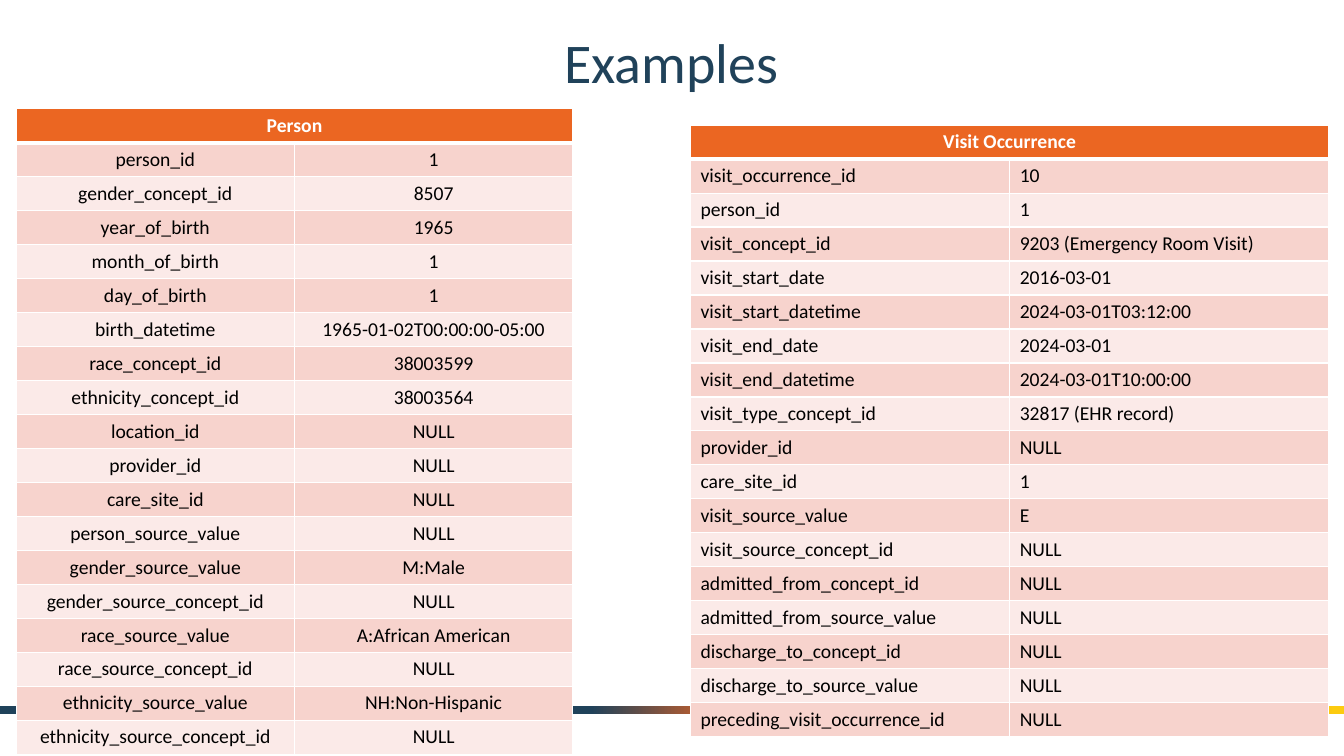
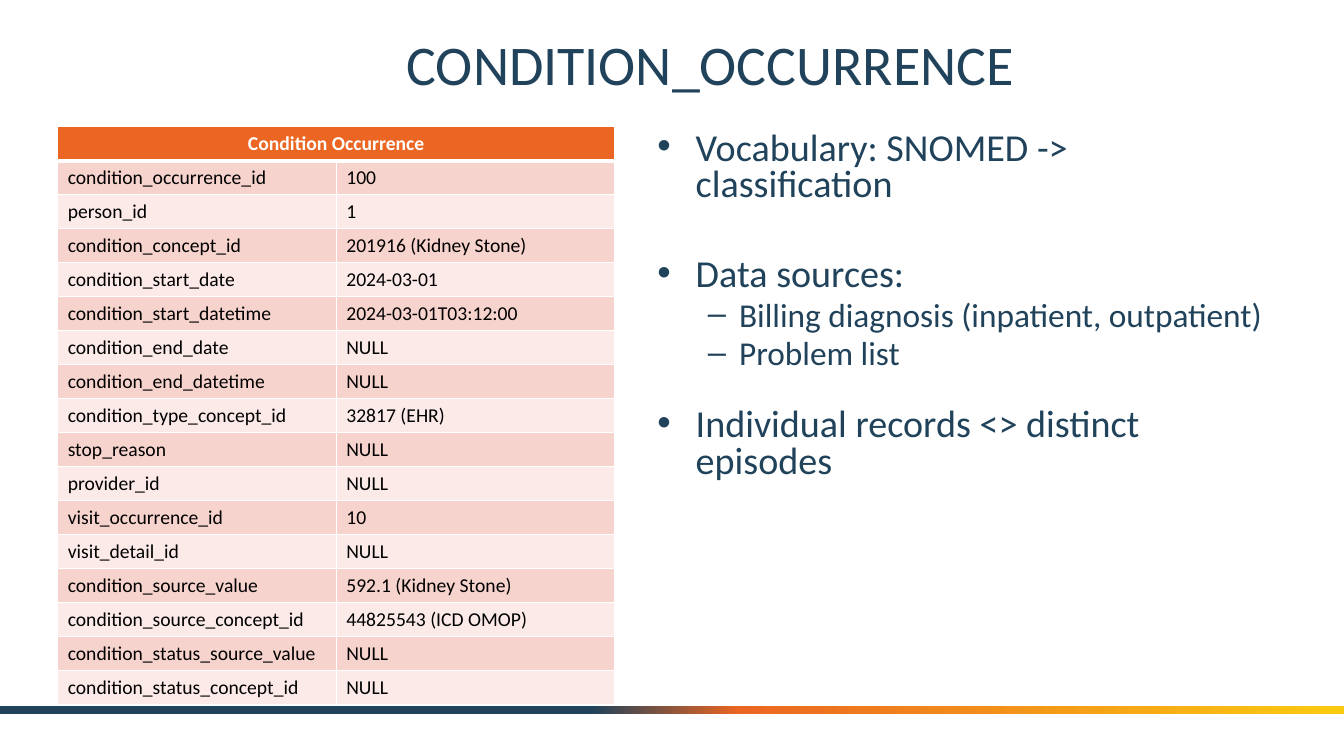
from lxml.etree import SubElement
from pptx import Presentation
from pptx.dml.color import RGBColor
from pptx.enum.shapes import MSO_SHAPE as Preset
from pptx.enum.text import MSO_ANCHOR as Anchor, MSO_AUTO_SIZE as AutoSize, PP_ALIGN as Align
from pptx.oxml import parse_xml
from pptx.oxml.ns import nsdecls, qn
from pptx.util import Inches, Pt

WIDTH, HEIGHT = Inches(13.33), Inches(7.5)
COLUMN, ROW = WIDTH / 24, HEIGHT / 18
TABLE_ROW = 0.8

NAVY, ORANGE, YELLOW = "20425A", "EB6622", "FCCB10"
WHITE, BLACK = "FFFFFF", "000000"
STRIPES = ("F7D3CD", "FBEAE8")
BAND_STOPS = ((44, NAVY), (55, ORANGE), (100, YELLOW))

TITLE_FONT = {"name": "Calibri", "size": Pt(40)}
HEADER_FONT = {"name": "Calibri", "size": Pt(14), "bold": True}
CELL_FONT = {**HEADER_FONT, "bold": False}
LEVELS = (
    {"size": 27.2, "left": 0.38, "hang": 0.38, "mark": "•", "scale": 101},
    {"size": 23.8, "left": 0.81, "hang": 0.31, "mark": "–", "scale": 98},
)

PERSON = {
    "person_id": "1",
    "gender_concept_id": "8507",
    "year_of_birth": "1965",
    "month_of_birth": "1",
    "day_of_birth": "1",
    "birth_datetime": "1965-01-02T00:00:00-05:00",
    "race_concept_id": "38003599",
    "ethnicity_concept_id": "38003564",
    "location_id": "NULL",
    "provider_id": "NULL",
    "care_site_id": "NULL",
    "person_source_value": "NULL",
    "gender_source_value": "M:Male",
    "gender_source_concept_id": "NULL",
    "race_source_value": "A:African American",
    "race_source_concept_id": "NULL",
    "ethnicity_source_value": "NH:Non-Hispanic",
    "ethnicity_source_concept_id": "NULL",
}
VISIT = {
    "visit_occurrence_id": "10",
    "person_id": "1",
    "visit_concept_id": "9203 (Emergency Room Visit)",
    "visit_start_date": "2016-03-01",
    "visit_start_datetime": "2024-03-01T03:12:00",
    "visit_end_date": "2024-03-01",
    "visit_end_datetime": "2024-03-01T10:00:00",
    "visit_type_concept_id": "32817 (EHR record)",
    "provider_id": "NULL",
    "care_site_id": "1",
    "visit_source_value": "E",
    "visit_source_concept_id": "NULL",
    "admitted_from_concept_id": "NULL",
    "admitted_from_source_value": "NULL",
    "discharge_to_concept_id": "NULL",
    "discharge_to_source_value": "NULL",
    "preceding_visit_occurrence_id": "NULL",
}
CONDITION = {
    "condition_occurrence_id": "100",
    "person_id": "1",
    "condition_concept_id": "201916 (Kidney Stone)",
    "condition_start_date": "2024-03-01",
    "condition_start_datetime": "2024-03-01T03:12:00",
    "condition_end_date": "NULL",
    "condition_end_datetime": "NULL",
    "condition_type_concept_id": "32817 (EHR)",
    "stop_reason": "NULL",
    "provider_id": "NULL",
    "visit_occurrence_id": "10",
    "visit_detail_id": "NULL",
    "condition_source_value": "592.1 (Kidney Stone)",
    "condition_source_concept_id": "44825543 (ICD OMOP)",
    "condition_status_source_value": "NULL",
    "condition_status_concept_id": "NULL",
}
NOTES = (
    (0, 0, "Vocabulary: SNOMED -> classification"),
    (0, 38, "Data sources:"),
    (1, 4.8, "Billing diagnosis (inpatient, outpatient)"),
    (1, 4.8, "Problem list"),
    (0, 26, "Individual records <> distinct episodes"),
)


def grid(left, top, width, height):
    """Turn grid columns and rows into lengths."""
    return [round(n) for n in (left * COLUMN, top * ROW, width * COLUMN, height * ROW)]


def apply(target, values):
    """Set each named attribute on the target."""
    for name, value in values.items():
        setattr(target, name, value)


def paint(fill, colour):
    """Make a fill solid in a hex colour."""
    fill.solid()
    fill.fore_color.rgb = RGBColor.from_string(colour)


def write(para, text, font, colour):
    """Add one formatted run to a paragraph."""
    span = para.add_run()
    span.text = text
    apply(span.font, font)
    paint(span.font.fill, colour)


def place(shape, area):
    """Move a shape to an area of the grid."""
    apply(shape, dict(zip(("left", "top", "width", "height"), grid(*area))))


def add_band(deck, page):
    """Draw the gradient band and hand it to the slide master."""
    band = page.shapes.add_shape(Preset.RECTANGLE, *grid(0, 16.8, 24, 0.19))
    band.shadow.inherit = False
    band.line.fill.background()
    band.fill.gradient()
    band.fill.gradient_angle = 0
    stops = band.element.spPr.find(".//" + qn("a:gsLst"))
    stops.clear()
    for position, colour in BAND_STOPS:
        stop = SubElement(stops, qn("a:gs"), pos=str(position * 1000))
        SubElement(stop, qn("a:srgbClr"), val=colour)
    band.element.nvSpPr.cNvPr.set("id", "20")
    deck.slide_master.shapes.element.append(band.element)


def add_page(deck, layout, title, area):
    """Add a page with a centred title."""
    page = deck.slides.add_slide(deck.slide_layouts[layout])
    box = page.shapes.title
    place(box, area)
    apply(box.text_frame, {"vertical_anchor": Anchor.MIDDLE, "word_wrap": True,
                           "auto_size": AutoSize.NONE})
    para = box.text_frame.paragraphs[0]
    para.alignment = Align.CENTER
    write(para, title, TITLE_FONT, NAVY)
    return page


def add_borders(cell, bottom):
    """Give a cell white borders, with its own bottom width."""
    for index, side in enumerate("LRTB"):
        width = Pt(bottom if side == "B" else 1)
        cell._tc.get_or_add_tcPr().insert(index, parse_xml(
            f'<a:ln{side} {nsdecls("a")} w="{width}"><a:solidFill>'
            f'<a:srgbClr val="{WHITE}"/></a:solidFill></a:ln{side}>'))


def fill_cell(cell, text, background, font, colour, align, bottom=1):
    """Write and colour one table cell."""
    paint(cell.fill, background)
    add_borders(cell, bottom)
    para = cell.text_frame.paragraphs[0]
    para.alignment = align
    write(para, text, font, colour)


def add_record(page, heading, fields, left, top, width, align=Align.LEFT):
    """Add a striped table of field names and values under a heading."""
    count = len(fields) + 1
    area = grid(left, top, width, count * TABLE_ROW)
    table = page.shapes.add_table(count, 2, *area).table
    table.cell(0, 0).merge(table.cell(0, 1))
    fill_cell(table.cell(0, 0), heading, ORANGE, HEADER_FONT, WHITE, Align.CENTER, 3)
    for row, pair in enumerate(fields.items(), 1):
        for column, text in enumerate(pair):
            stripe = STRIPES[(row - 1) % 2]
            fill_cell(table.cell(row, column), text, stripe, CELL_FONT, BLACK, align)


def add_bullet(para, level):
    """Give a paragraph the bullet and indent of its level."""
    style = LEVELS[level]
    para.level = level
    props = para._p.get_or_add_pPr()
    props.set("marL", str(Inches(style["left"])))
    props.set("indent", str(-Inches(style["hang"])))
    SubElement(SubElement(props, qn("a:buClr")), qn("a:srgbClr"), val=NAVY)
    SubElement(props, qn("a:buSzPct"), val=str(style["scale"] * 1000))
    SubElement(props, qn("a:buChar"), char=style["mark"])


def add_notes(box, notes, area):
    """Fill the body placeholder with a bulleted list."""
    place(box, area)
    frame = box.text_frame
    apply(frame, {"word_wrap": True, "auto_size": AutoSize.NONE,
                  "vertical_anchor": Anchor.TOP})
    for index, (level, before, text) in enumerate(notes):
        para = frame.add_paragraph() if index else frame.paragraphs[0]
        add_bullet(para, level)
        apply(para, {"line_spacing": 0.8, "space_before": Pt(before)})
        write(para, text, {"name": "Calibri", "size": Pt(LEVELS[level]["size"])}, NAVY)


def main():
    """Build and save the deck."""
    deck = Presentation()
    apply(deck, {"slide_width": WIDTH, "slide_height": HEIGHT})

    page = add_page(deck, 5, "Examples", (2.09, 0.36, 19.8, 2.2))
    add_band(deck, page)
    add_record(page, "Person", PERSON, 0.29, 2.59, 9.94, Align.CENTER)
    add_record(page, "Visit Occurrence", VISIT, 12.33, 2.98, 11.4)

    page = add_page(deck, 1, "CONDITION_OCCURRENCE", (5.26, 0.41, 14.85, 2.2))
    add_record(page, "Condition Occurrence", CONDITION, 1.03, 3.02, 9.95)
    add_notes(page.placeholders[1], NOTES, (11.56, 3.02, 11.36, 13.06))

    deck.save("out.pptx")


if __name__ == "__main__":
    main()
